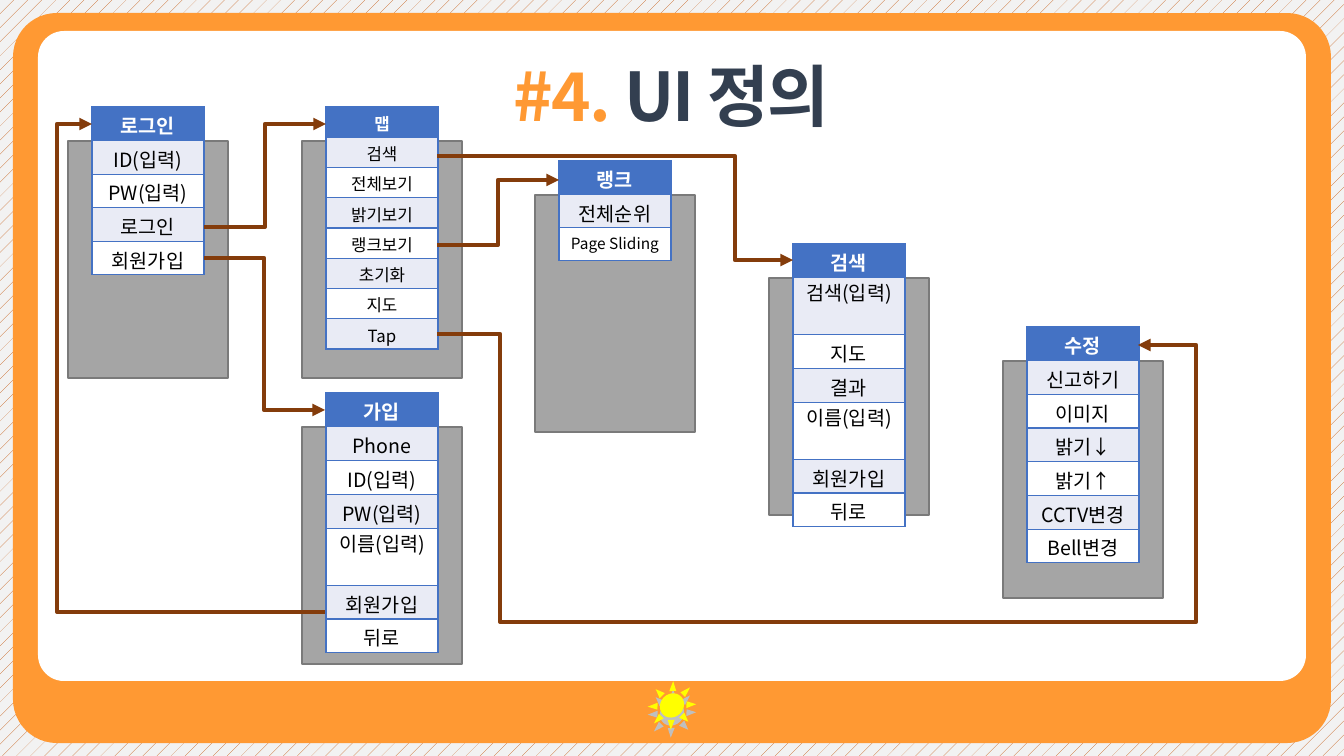
from dataclasses import dataclass

from pptx import Presentation
from pptx.dml.color import RGBColor
from pptx.enum.dml import MSO_PATTERN
from pptx.enum.shapes import MSO_CONNECTOR, MSO_SHAPE
from pptx.enum.text import MSO_AUTO_SIZE, PP_ALIGN
from pptx.oxml import parse_xml
from pptx.oxml.ns import nsdecls, qn
from pptx.util import Emu, Pt

SLIDE_WIDTH, SLIDE_HEIGHT = 1344, 756
EMU_PER_PX = 12192000 / SLIDE_WIDTH
FONT = "Noto Sans CJK KR"

ORANGE = RGBColor(0xFF, 0x99, 0x33)
WHITE = RGBColor(0xFF, 0xFF, 0xFF)
BLACK = RGBColor(0x00, 0x00, 0x00)
NAVY = RGBColor(0x33, 0x3F, 0x50)
BLUE = RGBColor(0x44, 0x72, 0xC4)
PALE_BLUE = RGBColor(0xE9, 0xEB, 0xF5)
GRAY = RGBColor(0xA5, 0xA5, 0xA5)
DARK_GRAY = RGBColor(0x7A, 0x7A, 0x7A)
SUN_SHADE = RGBColor(0xBF, 0xBF, 0xBF)
YELLOW = RGBColor(0xFF, 0xFF, 0x00)
BROWN = RGBColor(0x84, 0x3C, 0x0B)
RUST = RGBColor(0xC5, 0x5A, 0x11)
PAPER = RGBColor(0xF2, 0xF2, 0xF2)

TABLE_WIDTH = 112
TALL_ROW = 57
WRAPPED = ("검색(입력)", "이름(입력)")
SMALL_SIZES = {"Page Sliding": 11}


@dataclass(frozen=True)
class Screen:
    left: int
    top: int
    height: int
    labels: tuple[str, ...]
    size: int = 14


@dataclass(frozen=True)
class Link:
    start: tuple[int, int]
    bends: tuple[int, ...]
    end: tuple[int, int]


SCREENS = (
    Screen(92, 107, 168, ("로그인", "ID(입력)", "PW(입력)", "로그인", "회원가입")),
    Screen(326, 107, 242, ("맵", "검색", "전체보기", "밝기보기", "랭크보기",
                           "초기화", "지도", "Tap"), 12),
    Screen(326, 393, 260, ("가입", "Phone", "ID(입력)", "PW(입력)", "이름(입력)",
                           "회원가입", "뒤로")),
    Screen(559, 161, 100, ("랭크", "전체순위", "Page Sliding")),
    Screen(793, 244, 283, ("검색", "검색(입력)", "지도", "결과", "이름(입력)",
                           "회원가입", "뒤로")),
    Screen(1027, 327, 236, ("수정", "신고하기", "이미지", "밝기↓", "밝기↑",
                            "CCTV변경", "Bell변경")),
)

LINKS = (
    Link((204, 258), (264,), (325, 410)),
    Link((204, 227), (265,), (326, 124)),
    Link((325, 612), (57,), (92, 124)),
    Link((437, 156), (735,), (793, 260)),
    Link((437, 334), (500, 622, 1196), (1138, 345)),
    Link((437, 245), (498,), (559, 180)),
)


def px(length: float) -> Emu:
    return Emu(round(length * EMU_PER_PX))


def add_run(paragraph, text: str, size: int, color: RGBColor, bold: bool):
    run = paragraph.add_run()
    run.text = text
    run.font.size = Pt(size)
    run.font.bold = bold
    run.font.color.rgb = color
    run.font.name = FONT
    properties = run._r.get_or_add_rPr()
    properties.append(parse_xml(f'<a:ea {nsdecls("a")} typeface="{FONT}"/>'))
    return properties


def add_block(shapes, kind: MSO_SHAPE, box: tuple[int, int, int, int],
              fill: RGBColor, line: RGBColor | None = None):
    shape = shapes.add_shape(kind, *map(px, box))
    shape.shadow.inherit = False
    shape.fill.solid()
    shape.fill.fore_color.rgb = fill
    if line is None:
        shape.line.fill.background()
    else:
        shape.line.color.rgb = line
        shape.line.width = Pt(1)
    return shape


def add_frame(shapes) -> None:
    outer = add_block(shapes, MSO_SHAPE.ROUNDED_RECTANGLE, (13, 13, 1318, 730), ORANGE)
    outer.adjustments[0] = 0.06
    inner = add_block(shapes, MSO_SHAPE.ROUNDED_RECTANGLE, (38, 31, 1268, 650), WHITE)
    inner.adjustments[0] = 0.04
    suns = shapes.add_group_shape()
    for top, color in ((688, SUN_SHADE), (680, YELLOW)):
        sun = add_block(suns.shapes, MSO_SHAPE.SUN, (649, top, 46, 51), color)
        sun.rotation = 45


def add_title(shapes) -> None:
    frame = shapes.add_textbox(px(406), px(49), px(531), px(92)).text_frame
    frame.word_wrap = True
    frame.auto_size = MSO_AUTO_SIZE.SHAPE_TO_FIT_TEXT
    paragraph = frame.paragraphs[0]
    paragraph.alignment = PP_ALIGN.CENTER
    for text, color in (("#4. ", ORANGE), ("UI 정의", NAVY)):
        add_run(paragraph, text, 48, color, True).set("spc", "-150")


def add_borders(cell) -> None:
    properties = cell._tc.get_or_add_tcPr()
    for index, side in enumerate(("lnL", "lnR", "lnT", "lnB")):
        properties.insert(index, parse_xml(
            f'<a:{side} {nsdecls("a")} w="{Pt(1)}"><a:solidFill>'
            f'<a:srgbClr val="{BLUE}"/></a:solidFill></a:{side}>'))


def add_screen(shapes, screen: Screen) -> None:
    add_block(shapes, MSO_SHAPE.RECTANGLE,
              (screen.left - 24, screen.top + 34, 160, 237), GRAY, DARK_GRAY)
    count = len(screen.labels)
    tall_count = sum(label in WRAPPED for label in screen.labels)
    row_height = (screen.height - tall_count * TALL_ROW) / (count - tall_count)
    table = shapes.add_table(count, 1, px(screen.left), px(screen.top),
                             px(TABLE_WIDTH), px(screen.height)).table
    for index, label in enumerate(screen.labels):
        header, tall = index == 0, label in WRAPPED
        table.rows[index].height = px(TALL_ROW if tall else row_height)
        cell = table.cell(index, 0)
        cell.margin_top = px(0 if tall else 4)
        cell.margin_bottom = px(0)
        cell.fill.solid()
        cell.fill.fore_color.rgb = BLUE if header else PALE_BLUE if index % 2 else WHITE
        add_borders(cell)
        paragraph = cell.text_frame.paragraphs[0]
        paragraph.alignment = PP_ALIGN.CENTER
        add_run(paragraph, label, SMALL_SIZES.get(label, screen.size),
                WHITE if header else BLACK, header)


def add_link(shapes, link: Link) -> None:
    connector = shapes.add_connector(MSO_CONNECTOR.ELBOW, *map(px, link.start + link.end))
    connector.line.color.rgb = BROWN
    connector.line.width = Pt(3)
    properties = connector.element.spPr
    properties.find(qn("a:ln")).append(
        parse_xml(f'<a:tailEnd {nsdecls("a")} type="triangle"/>'))
    properties.append(parse_xml(f'<a:effectLst {nsdecls("a")}/>'))
    geometry = properties.find(qn("a:prstGeom"))
    geometry.set("prst", f"bentConnector{len(link.bends) + 2}")
    guides = geometry.find(qn("a:avLst"))
    for index, bend in enumerate(link.bends):
        start, end = link.start[index % 2], link.end[index % 2]
        ratio = round((bend - start) / (end - start) * 100000)
        guides.append(parse_xml(
            f'<a:gd {nsdecls("a")} name="adj{index + 1}" fmla="val {ratio}"/>'))


def main() -> None:
    presentation = Presentation()
    presentation.slide_width = px(SLIDE_WIDTH)
    presentation.slide_height = px(SLIDE_HEIGHT)
    slide = presentation.slides.add_slide(presentation.slide_layouts[6])
    background = slide.background.fill
    background.patterned()
    background.pattern = MSO_PATTERN.PERCENT_5
    background.fore_color.rgb = RUST
    background.back_color.rgb = PAPER
    add_frame(slide.shapes)
    add_title(slide.shapes)
    for screen in SCREENS:
        add_screen(slide.shapes, screen)
    for link in LINKS:
        add_link(slide.shapes, link)
    presentation.save("out.pptx")


if __name__ == "__main__":
    main()
